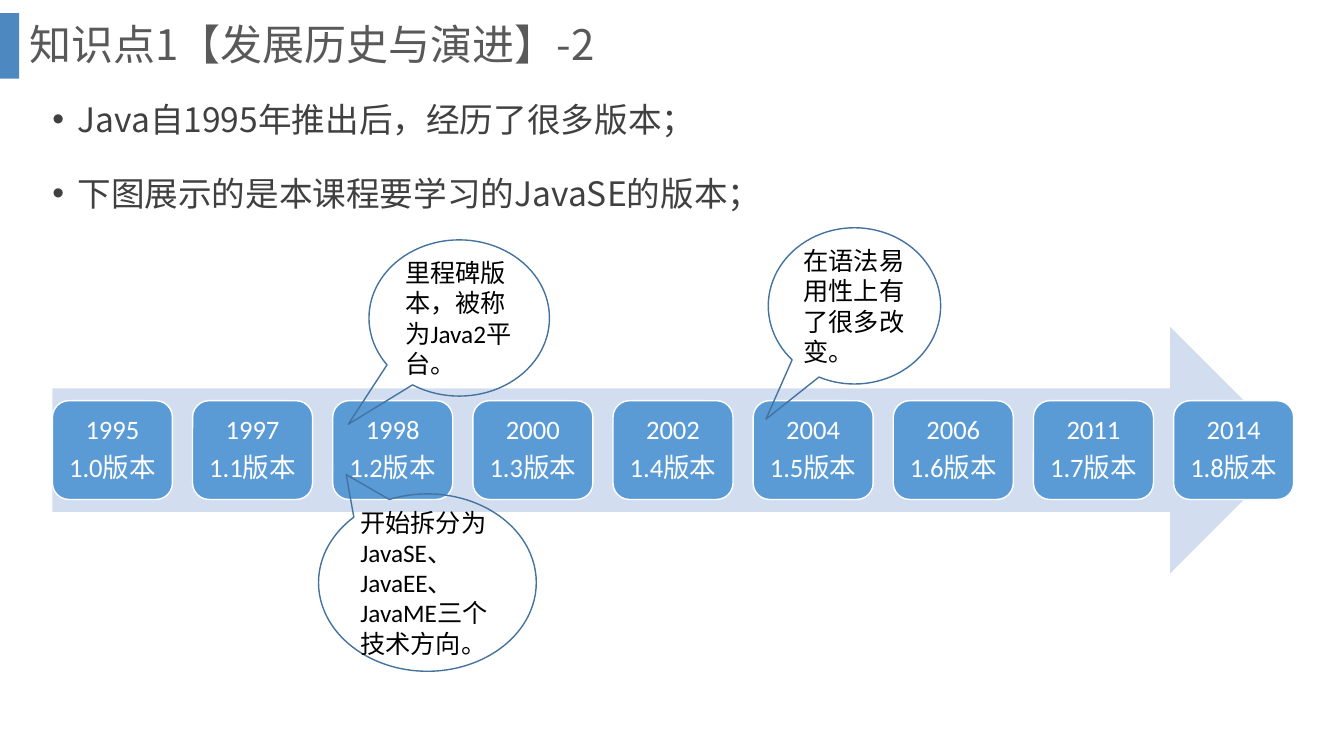
from dataclasses import dataclass

from lxml import etree
from pptx import Presentation
from pptx.dml.color import RGBColor
from pptx.enum.shapes import MSO_SHAPE
from pptx.enum.text import MSO_ANCHOR, MSO_AUTO_SIZE, PP_ALIGN
from pptx.oxml.ns import qn
from pptx.util import Inches, Pt

RECT, ARROW = MSO_SHAPE.RECTANGLE, MSO_SHAPE.RIGHT_ARROW
ROUND, BUBBLE = MSO_SHAPE.ROUNDED_RECTANGLE, MSO_SHAPE.OVAL_CALLOUT
TOP, MIDDLE = MSO_ANCHOR.TOP, MSO_ANCHOR.MIDDLE
LEFT, CENTER = PP_ALIGN.LEFT, PP_ALIGN.CENTER
SHRINK = MSO_AUTO_SIZE.TEXT_TO_FIT_SHAPE

TITLE = "知识点1【发展历史与演进】-2"
POINTS = ["Java自1995年推出后，经历了很多版本；",
          "下图展示的是本课程要学习的JavaSE的版本；"]
YEARS = [1995, 1997, 1998, 2000, 2002, 2004, 2006, 2011, 2014]
# text, box, pointer tip as shares of the bubble measured from its centre
NOTES = [
    ("里程碑版本，被称为Java2平台。", (3.66, 2.38, 1.79, 1.55), (-0.615, 0.68)),
    ("开始拆分为JavaSE、JavaEE、JavaME三个技术方向。", (3.16, 4.9, 2.16, 1.76), (-0.373, -0.609)),
    ("在语法易用性上有了很多改变。", (7.62, 2.26, 1.71, 1.55), (-0.514, 0.725)),
]


@dataclass(frozen=True)
class Theme:
    accent: str = "2E75B6"
    band: str = "D2DEEF"
    card: str = "5B9BD5"
    edge: str = "43739E"
    white: str = "FFFFFF"
    title: tuple = ("Noto Sans CJK SC", 30, "595959")
    body: tuple = ("Noto Sans CJK SC", 24, "404040")
    label: tuple = ("Calibri", 19, "FFFFFF")
    note: tuple = ("Calibri", 18, "000000")


THEME = Theme()
WIDE, HIGH = 13.33, 7.5
ROAD = (0.52, 3.24, 12.31, 2.45)
CARD_W, CARD_H = 1.19, 0.98
STEP = (ROAD[2] - CARD_W) / (len(YEARS) - 1)
CARD_Y = ROAD[1] + (ROAD[3] - CARD_H) / 2


def write(shape, lines, style, anchor=MIDDLE, inset=None, **form):
    """Fill a shape with one paragraph per line, all in one style."""
    frame = shape.text_frame
    frame.word_wrap = True
    frame.vertical_anchor = anchor
    if inset is not None:
        for side in ("left", "right", "top", "bottom"):
            setattr(frame, f"margin_{side}", Inches(inset))
    face, size, color = style
    for i, line in enumerate(lines):
        para = frame.add_paragraph() if i else frame.paragraphs[0]
        for name, value in {"alignment": LEFT, **form}.items():
            setattr(para, name, value)
        run = para.add_run()
        run.text = line
        run.font.name, run.font.size = face, Pt(size)
        run.font.color.rgb = RGBColor.from_string(color)
        etree.SubElement(run.font._element, qn("a:ea"), typeface=face)
    return frame


def draw(slide, kind, box, fill=None, line=None):
    shape = slide.shapes.add_shape(kind, *map(Inches, box))
    shape.shadow.inherit = False
    if fill:
        shape.fill.solid()
        shape.fill.fore_color.rgb = RGBColor.from_string(fill)
    else:
        shape.fill.background()
    if line:
        shape.line.color.rgb = RGBColor.from_string(line)
        shape.line.width = Pt(1)
    else:
        shape.line.fill.background()
    return shape


def label(slide, box):
    return slide.shapes.add_textbox(*map(Inches, box))


def bullet(para):
    props = para._p.get_or_add_pPr()
    props.set("marL", str(Inches(0.25)))
    props.set("indent", str(-Inches(0.25)))
    etree.SubElement(props, qn("a:buFont"), typeface="Arial")
    etree.SubElement(props, qn("a:buChar"), char="•")


def head(slide):
    mark = draw(slide, RECT, (0, 0.13, 0.19, 0.65), THEME.accent)
    tint = mark.fill._xPr.find(".//" + qn("a:srgbClr"))
    etree.SubElement(tint, qn("a:alpha"), val="85000")
    body = write(label(slide, (0.42, 0.73, 12.05, 1.6)), POINTS, THEME.body,
                 TOP, line_spacing=1.5, space_before=Pt(10))
    body.auto_size = SHRINK
    for para in body.paragraphs:
        bullet(para)
    write(label(slide, (0.19, 0, 12.66, 0.93)), [TITLE], THEME.title,
          line_spacing=0.9)


def road(slide):
    draw(slide, ARROW, ROAD, THEME.band)
    for i, year in enumerate(YEARS):
        box = (ROAD[0] + i * STEP, CARD_Y, CARD_W, CARD_H)
        card = draw(slide, ROUND, box, THEME.card, THEME.white)
        write(card, [str(year), f"1.{i}版本"], THEME.label, inset=0.05,
              alignment=CENTER, line_spacing=0.9, space_after=Pt(6.65))


def notes(slide):
    for text, box, tip in NOTES:
        bubble = draw(slide, BUBBLE, box, line=THEME.edge)
        for i, share in enumerate(tip):
            bubble.adjustments[i] = share
        write(bubble, [text], THEME.note)


def main():
    deck = Presentation()
    deck.slide_width, deck.slide_height = Inches(WIDE), Inches(HIGH)
    slide = deck.slides.add_slide(deck.slide_layouts[6])
    for part in (head, road, notes):
        part(slide)
    deck.save("out.pptx")


if __name__ == "__main__":
    main()
